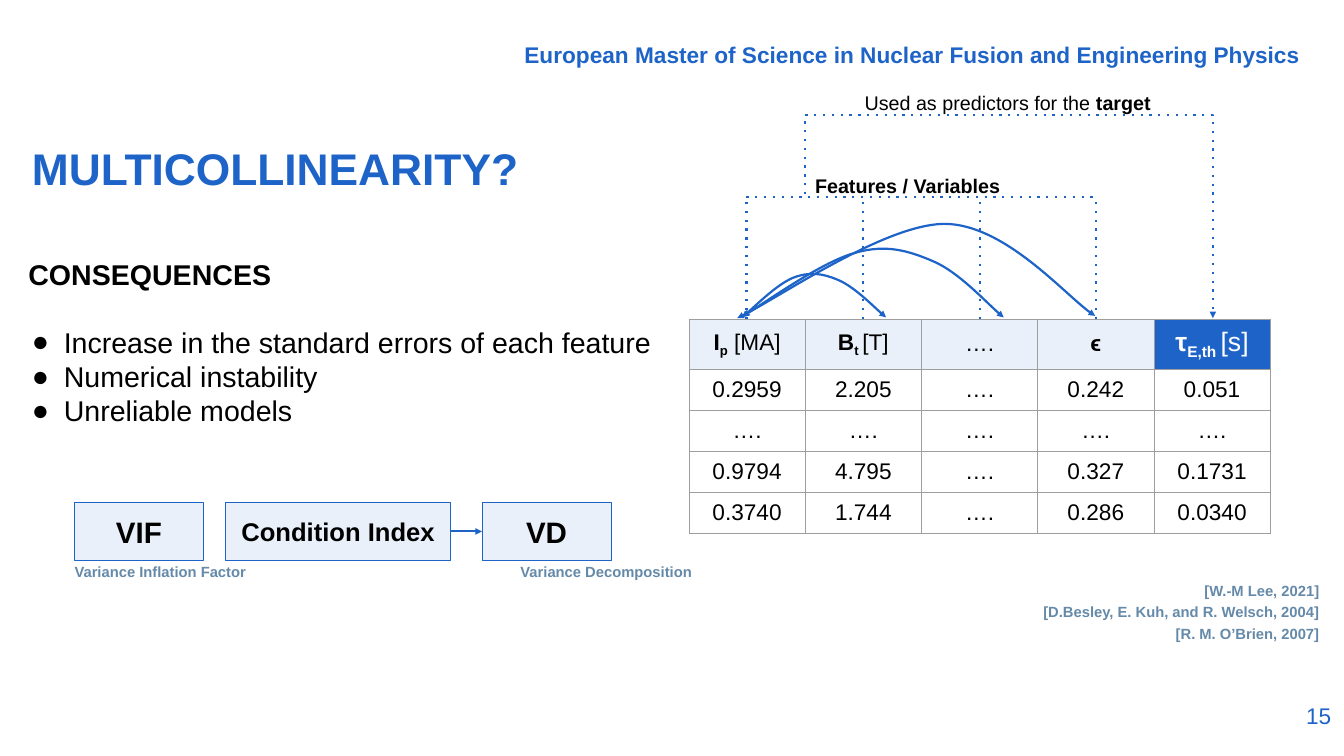
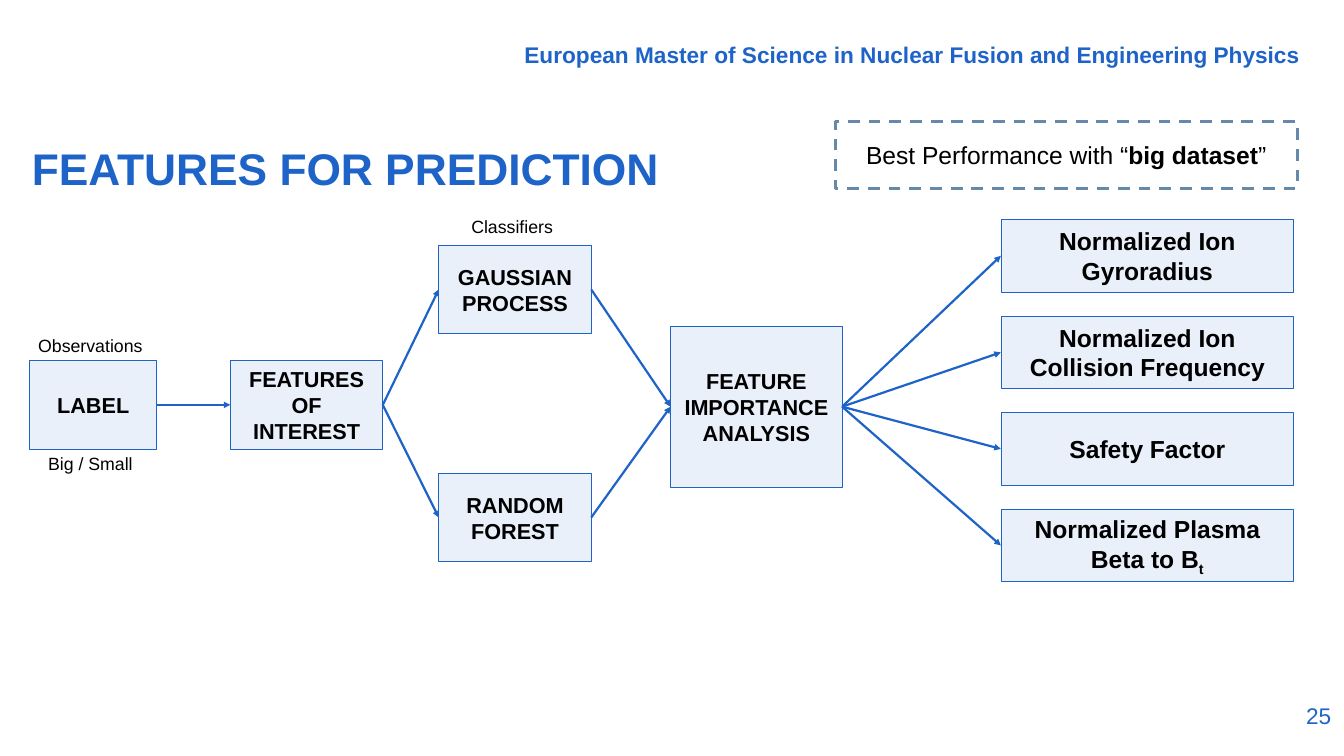
from lxml import etree
from pptx import Presentation
from pptx.dml.color import RGBColor
from pptx.enum import shapes, text
from pptx.oxml import ns
from pptx.util import Inches, Pt

BLUE = RGBColor(0x1E, 0x64, 0xC8)
PALE = RGBColor(0xE9, 0xF0, 0xFA)
SLATE = RGBColor(0x65, 0x8A, 0xA9)
GREY = RGBColor(0x9E, 0x9E, 0x9E)
BLACK = RGBColor(0, 0, 0)
WHITE = RGBColor(0xFF, 0xFF, 0xFF)
FONT = "Arial"
LEFT, CENTER, RIGHT = text.PP_ALIGN.LEFT, text.PP_ALIGN.CENTER, text.PP_ALIGN.RIGHT
TOP, MIDDLE, BOTTOM = text.MSO_ANCHOR.TOP, text.MSO_ANCHOR.MIDDLE, text.MSO_ANCHOR.BOTTOM
BOTTOM_SITE_LEFT, SITE_RIGHT = 1, 3
COURSE = "European Master of Science in Nuclear Fusion and Engineering Physics"


def add_xml(parent, tag, **attributes):
    return etree.SubElement(parent, ns.qn("a:" + tag), attributes)


def write(para, content, size, color=BLACK, bold=False, align=LEFT, spacing=None):
    """Fill a paragraph from a string or (text, style) spans: b bold, n regular, s subscript."""
    spans = [(content, "")] if isinstance(content, str) else content
    for words, style in spans:
        span = para.add_run()
        span.text = words
        if style in ("b", "n"):
            span.font.bold = style == "b"
        elif style == "s":
            span._r.get_or_add_rPr().set("baseline", "-25000")
    para.alignment = align
    if spacing:
        para.line_spacing = spacing
    font = para.font
    font.name, font.size, font.bold = FONT, Pt(size), bold
    font.color.rgb = color


def write_all(frame, paragraphs, *args, anchor=TOP, inset=0.1, **style):
    frame.word_wrap = True
    frame.auto_size = text.MSO_AUTO_SIZE.NONE
    frame.vertical_anchor = anchor
    frame.margin_left = frame.margin_right = Inches(0.1)
    frame.margin_top = frame.margin_bottom = Inches(inset)
    for index, content in enumerate(paragraphs):
        para = frame.add_paragraph() if index else frame.paragraphs[0]
        write(para, content, *args, **style)


def label(page, at, paragraphs, size, **style):
    box = page.shapes.add_textbox(*map(Inches, at))
    write_all(box.text_frame, paragraphs, size, **style)


def place(shape, at):
    shape.left, shape.top, shape.width, shape.height = map(Inches, at)


def pen(line, color=BLUE, width=2.25, dash=None, head=False, tail=False):
    line.color.rgb = color
    line.width = Pt(width)
    ln = line._get_or_add_ln()
    if dash:
        add_xml(ln, "prstDash", val=dash)
    if head:
        add_xml(ln, "headEnd", type="triangle")
    if tail:
        add_xml(ln, "tailEnd", type="triangle")


def box(page, at, paragraphs, size, bold=True, fill=PALE, **line):
    shape = page.shapes.add_shape(shapes.MSO_SHAPE.RECTANGLE, *map(Inches, at))
    shape.shadow.inherit = False
    if fill is None:
        shape.fill.background()
    else:
        shape.fill.solid()
        shape.fill.fore_color.rgb = fill
    pen(shape.line, **{"width": 0.75, **line})
    write_all(shape.text_frame, paragraphs, size, anchor=MIDDLE, bold=bold, align=CENTER)
    return shape


def connector(page, start, end, kind=shapes.MSO_CONNECTOR.STRAIGHT, **line):
    link = page.shapes.add_connector(kind, *map(Inches, (*start, *end)))
    pen(link.line, **line)
    add_xml(link._element.spPr, "effectLst")
    return link


def join(page, source, target):
    """Arrow from the right side of one box to the left side of another."""
    link = connector(page, (0, 0), (0, 0), tail=True)
    link.begin_connect(source, SITE_RIGHT)
    link.end_connect(target, BOTTOM_SITE_LEFT)


def curve(page, start, *points):
    """Double-headed curve; every three points are one cubic Bézier segment."""
    builder = page.shapes.build_freeform(*map(Inches, start))
    builder.add_line_segments([tuple(map(Inches, point)) for point in points], close=False)
    shape = builder.convert_to_shape()
    outline = shape._element.find(".//" + ns.qn("a:path"))
    segments = outline.findall(ns.qn("a:lnTo"))
    for index in range(0, len(segments), 3):
        bezier = add_xml(outline, "cubicBezTo")
        for segment in segments[index:index + 3]:
            bezier.append(segment[0])
            outline.remove(segment)
    shape.shadow.inherit = False
    shape.fill.background()
    pen(shape.line, head=True, tail=True)


def target_bracket(page):
    """Dotted elbow that rises from the features and drops on the target column."""
    link = connector(page, (13.36, 0.74), (15.11, 6.49), shapes.MSO_CONNECTOR.ELBOW,
                     dash="dot", tail=True)
    properties = link._element.spPr
    frame = properties.find(ns.qn("a:xfrm"))
    frame.set("rot", "16200000")
    frame.set("flipH", "1")
    geometry = properties.find(ns.qn("a:prstGeom"))
    adjustments = geometry.find(ns.qn("a:avLst"))
    if adjustments is None:
        adjustments = add_xml(geometry, "avLst")
    add_xml(adjustments, "gd", name="adj1", fmla="val -63900")


def start_page(deck, layout, title, width, number):
    page = deck.slides.add_slide(deck.slide_layouts[layout])
    place(page.shapes.title, (0.35, 1.73, width, 2.38))
    write_all(page.shapes.title.text_frame, [title], 45, color=BLUE, bold=True, spacing=1.21)
    label(page, (4.8, 0.43, 13.65, 0.59), [COURSE], 23, color=BLUE, bold=True,
          align=RIGHT, spacing=1.21, anchor=MIDDLE, inset=0.05)
    label(page, (17.74, 9.85, 1.14, 0.82), [number], 23, color=BLUE, align=RIGHT, inset=0.05)
    return page


def bullet_list(body, heading, items):
    place(body, (0.3, 3.53, 9.06, 3.35))
    write_all(body.text_frame, [heading], 29, bold=True)
    first = body.text_frame.paragraphs[0]
    first.space_before = Pt(0)
    properties = first._p.get_or_add_pPr()
    properties.set("marL", "0")
    properties.set("indent", "0")
    properties.insert(list(properties).index(properties.find(ns.qn("a:defRPr"))),
                      etree.Element(ns.qn("a:buNone")))
    for index, item in enumerate(items):
        para = body.text_frame.add_paragraph()
        properties = para._p.get_or_add_pPr()
        properties.set("marL", str(Inches(0.5)))
        properties.set("indent", str(Inches(-0.45)))
        add_xml(add_xml(properties, "buClr"), "srgbClr", val=str(BLACK))
        add_xml(properties, "buFont", typeface=FONT)
        add_xml(properties, "buChar", char="●")
        para.space_before = Pt(0 if index else 34)
        write(para, item, 29)


def style_cell(cell, content, size, color, fill):
    properties = cell._tc.get_or_add_tcPr()
    for side in ("lnL", "lnR", "lnT", "lnB"):
        border = add_xml(properties, side, w=str(Pt(0.75)))
        add_xml(add_xml(border, "solidFill"), "srgbClr", val=str(GREY))
    cell.fill.solid()
    cell.fill.fore_color.rgb = fill
    cell.vertical_anchor = MIDDLE
    cell.margin_left = cell.margin_right = Inches(0.1)
    cell.margin_top = cell.margin_bottom = Inches(0.1)
    write(cell.text_frame.paragraphs[0], content, size, color, align=CENTER)


def data_table(page, header, rows):
    frame = page.shapes.add_table(len(rows) + 1, len(header), Inches(9.72), Inches(4.5),
                                  Inches(8.2), Inches(3.04))
    table = frame.table
    table.first_row = table.horz_banding = False
    for column in table.columns:
        column.width = Inches(1.64)
    for index, row in enumerate(table.rows):
        row.height = Inches(0.58 if index else 0.71)
    target = len(header) - 1
    for col, content in enumerate(header):
        look = (27, WHITE, BLUE) if col == target else (23, BLACK, PALE)
        style_cell(table.cell(0, col), content, *look)
    for row, values in enumerate(rows, 1):
        for col, value in enumerate(values):
            style_cell(table.cell(row, col), value, 23, BLACK, WHITE)


def multicollinearity_page(deck):
    page = start_page(deck, 1, "MULTICOLLINEARITY?", 7.21, "15")
    bullet_list(page.placeholders[1], "CONSEQUENCES",
                ["Increase in the standard errors of each feature",
                 "Numerical instability", "Unreliable models"])
    data_table(page,
               [[("I", "b"), ("p", "s"), (" [MA]", "")],
                [("B", "b"), ("t ", "s"), ("[T]", "")],
                "….",
                [("ϵ", "b")],
                [("τ", "b"), ("E,th ", "s"), ("[s]", "")]],
               [["0.2959", "2.205", "….", "0.242", "0.051"],
                ["…."] * 5,
                ["0.9794", "4.795", "….", "0.327", "0.1731"],
                ["0.3740", "1.744", "….", "0.286", "0.0340"]])
    # Subscripts of the bold symbols are bold as well
    table = page.shapes[-1].table
    for col in (0, 1, 4):
        table.cell(0, col).text_frame.paragraphs[0].runs[1].font.bold = True

    curve(page, (10.47, 4.48), (10.59, 4.38), (10.97, 4.01), (11.19, 3.92),
          (11.42, 3.83), (11.61, 3.86), (11.82, 3.95),
          (12.04, 4.04), (12.39, 4.39), (12.5, 4.48))
    curve(page, (10.48, 4.46), (10.74, 4.31), (11.61, 3.69), (12.06, 3.57),
          (12.5, 3.44), (12.82, 3.54), (13.17, 3.69),
          (13.52, 3.84), (13.99, 4.35), (14.16, 4.48))
    curve(page, (10.4, 4.49), (10.89, 4.27), (12.48, 3.17), (13.32, 3.16),
          (14.16, 3.16), (15.1, 4.25), (15.45, 4.46))
    drops = [10.53 + 1.645 * index for index in range(4)]
    connector(page, (drops[0], 2.78), (drops[-1], 2.78), dash="dot")
    for x in drops:
        connector(page, (x, 4.5), (x, 2.78), dash="dot")
    target_bracket(page)
    label(page, (11.62, 1.18, 5.19, 0.54),
          [[("Used as predictors for the ", ""), ("target", "b")]], 20, align=CENTER)
    label(page, (10.21, 2.35, 5.19, 0.54), ["Features / Variables"], 20, bold=True, align=CENTER)

    box(page, (1.05, 7.09, 1.82, 0.82), ["VIF"], 30)
    condition = box(page, (3.18, 7.09, 3.18, 0.82), ["Condition Index"], 26)
    decomposition = box(page, (6.8, 7.09, 1.82, 0.82), ["VD"], 30)
    join(page, condition, decomposition)

    references = ["[W.-M Lee, 2021]", "[D.Besley, E. Kuh, and R. Welsch, 2004]",
                  "[R. M. O’Brien, 2007]"]
    for at, lines in (((0.75, 7.65, 2.82, 0.59), ["Variance Inflation Factor"]),
                      ((7.04, 7.65, 2.82, 0.59), ["Variance Decomposition"]),
                      ((11.14, 8.2, 7.57, 0.91), references)):
        label(page, at, lines, 15, color=SLATE, bold=True, align=RIGHT, spacing=1.21,
              anchor=BOTTOM, inset=0.05)


def prediction_page(deck):
    page = start_page(deck, 5, "FEATURES FOR PREDICTION", 11.5, "25")
    source = box(page, (0.42, 5.09, 1.79, 1.25), ["LABEL"], 22)
    interest = box(page, (3.25, 5.09, 2.15, 1.25), ["FEATURES OF INTEREST"], 22)
    classifiers = [box(page, (6.19, top, 2.15, 1.25), [name], 22)
                   for top, name in ((3.46, "GAUSSIAN PROCESS"), (6.68, "RANDOM FOREST"))]
    analysis = box(page, (9.46, 4.6, 2.42, 2.28), ["FEATURE IMPORTANCE", "ANALYSIS"], 22)
    outcomes = ["Normalized Ion Gyroradius", "Normalized Ion Collision Frequency",
                "Safety Factor", [("Normalized Plasma Beta to B", ""), ("t", "s")]]

    join(page, source, interest)
    for classifier in classifiers:
        join(page, interest, classifier)
        join(page, classifier, analysis)
    for index, name in enumerate(outcomes):
        outcome = box(page, (14.12, 3.1 + 1.363 * index, 4.13, 1.02), [name], 25)
        join(page, analysis, outcome)

    for at, caption in (((4.91, 2.95, 4.63, 0.5), "Classifiers"),
                        ((0.35, 4.62, 1.85, 0.5), "Observations"),
                        ((0.35, 6.29, 1.85, 0.5), "Big / Small")):
        label(page, at, [caption], 18, align=CENTER)
    box(page, (11.78, 1.72, 6.52, 0.94),
        [[("Best Performance with “", ""), ("big dataset", "b"), ("”", "")]], 25,
        bold=False, fill=None, color=SLATE, width=3, dash="dash")


def main():
    deck = Presentation()
    deck.slide_width, deck.slide_height = Inches(18.96), Inches(10.67)
    multicollinearity_page(deck)
    prediction_page(deck)
    deck.save("out.pptx")


if __name__ == "__main__":
    main()
